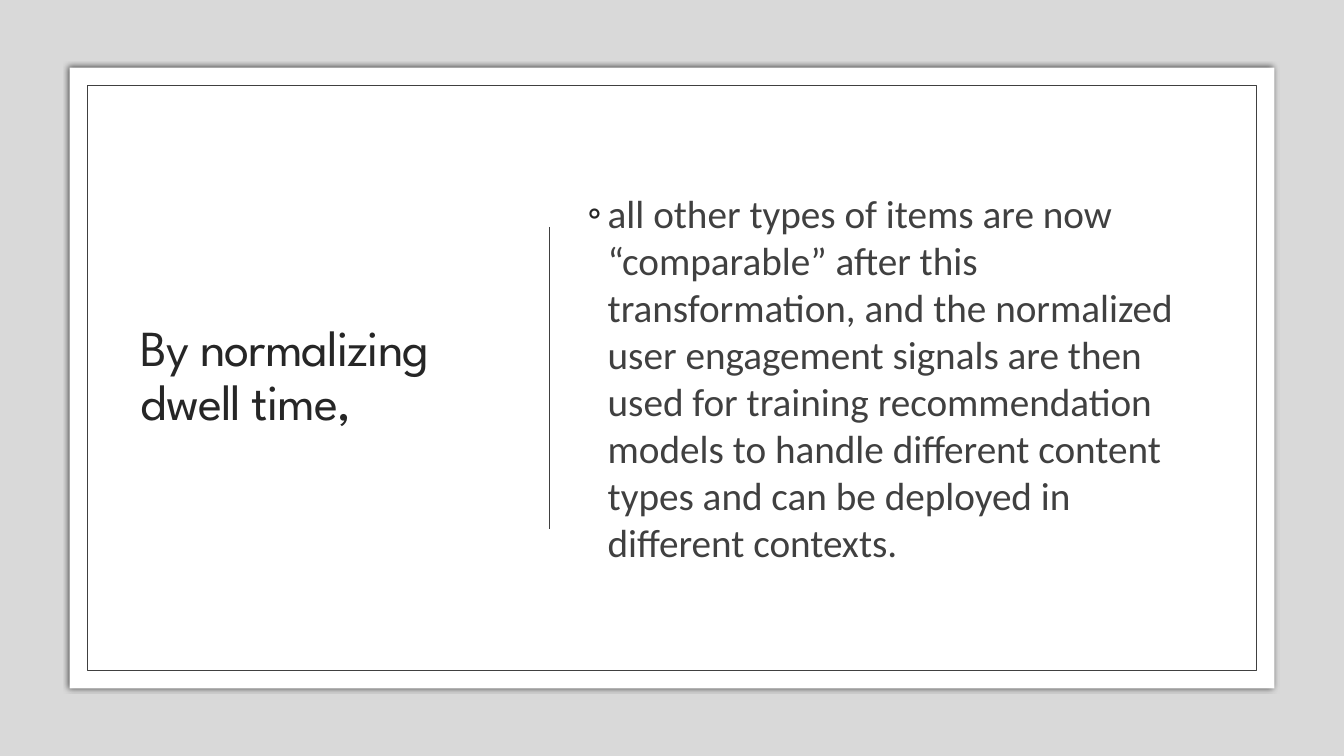
"""Builds a two-column statement slide inside a framed white panel."""

from dataclasses import dataclass
from typing import Optional

from lxml import etree
from pptx import Presentation
from pptx.dml.color import RGBColor
from pptx.enum.shapes import MSO_CONNECTOR, MSO_SHAPE
from pptx.enum.text import MSO_ANCHOR, PP_ALIGN
from pptx.oxml.ns import qn
from pptx.shapes.autoshape import Shape
from pptx.slide import Slide
from pptx.util import Pt

RECTANGLE = MSO_SHAPE.RECTANGLE
STRAIGHT = MSO_CONNECTOR.STRAIGHT
MIDDLE = MSO_ANCHOR.MIDDLE
LEFT = PP_ALIGN.LEFT
SLIDE_WIDTH, SLIDE_HEIGHT = 960, 540


@dataclass(frozen=True)
class Theme:
    """Colours, fonts and type sizes of the slide."""

    backdrop: str = "D9D9D9"
    paper: str = "FFFFFF"
    ink: str = "262626"
    soft_ink: str = "404040"
    shadow: str = "000000"
    title_font: str = "League Spartan"
    body_font: str = "Calibri"
    title_size: float = 36
    body_size: float = 28


THEME = Theme()


@dataclass(frozen=True)
class Panel:
    """A rectangle centred on the slide, set in from its edges."""

    inset_x: float
    inset_y: float
    fill: str
    line: Optional[str] = None
    has_shadow: bool = False


@dataclass(frozen=True)
class TextColumn:
    """A vertically centred block of text."""

    left: float
    width: float
    text: str
    font: str
    size: float
    color: str
    line_spacing: float = 1.0
    space_before: float = 0
    tracking: int = 0
    bullet: str = ""


PANELS = (
    Panel(0, 0, THEME.backdrop),
    Panel(49.7, 48.25, THEME.paper, has_shadow=True),
    Panel(62.7, 61.2, THEME.paper, line=THEME.soft_ink),
)
COLUMNS = (
    TextColumn(93.6, 272.9, "By normalizing dwell time,", THEME.title_font,
               THEME.title_size, THEME.ink, line_spacing=0.9, tracking=-70),
    TextColumn(412.6, 434.2,
               "all other types of items are now “comparable” after this "
               "transformation, and the normalized user engagement signals are "
               "then used for training recommendation models to handle different "
               "content types and can be deployed in different contexts.",
               THEME.body_font, THEME.body_size, THEME.soft_ink,
               space_before=9, bullet="◦"),
)
COLUMN_TOP, COLUMN_HEIGHT = 111.6, 316
BULLET_INDENT = 14.4
DIVIDER_X, DIVIDER_TOP, DIVIDER_BOTTOM = 392.5, 162, 378


def add_soft_shadow(shape: Shape) -> None:
    """Adds a blurred shadow without offset."""
    effects = shape._element.spPr.find(qn("a:effectLst"))
    shadow = etree.SubElement(effects, qn("a:outerShdw"), blurRad=str(Pt(4)),
                              dist="0", algn="ctr", rotWithShape="0")
    color = etree.SubElement(shadow, qn("a:srgbClr"), val=THEME.shadow)
    etree.SubElement(color, qn("a:alpha"), val="66000")


def add_panel(slide: Slide, panel: Panel) -> None:
    """Draws one centred rectangle."""
    shape = slide.shapes.add_shape(
        RECTANGLE, Pt(panel.inset_x), Pt(panel.inset_y),
        Pt(SLIDE_WIDTH - 2 * panel.inset_x), Pt(SLIDE_HEIGHT - 2 * panel.inset_y))
    shape.shadow.inherit = False
    shape.fill.solid()
    shape.fill.fore_color.rgb = RGBColor.from_string(panel.fill)
    if panel.line:
        shape.line.color.rgb = RGBColor.from_string(panel.line)
        shape.line.width = Pt(0.5)
    else:
        shape.line.fill.background()
    if panel.has_shadow:
        add_soft_shadow(shape)


def add_divider(slide: Slide) -> None:
    """Draws the vertical line between the columns."""
    divider = slide.shapes.add_connector(
        STRAIGHT, Pt(DIVIDER_X), Pt(DIVIDER_TOP), Pt(DIVIDER_X), Pt(DIVIDER_BOTTOM))
    divider.line.color.rgb = RGBColor.from_string(THEME.soft_ink)
    divider.line.width = Pt(1.25)
    etree.SubElement(divider._element.spPr, qn("a:effectLst"))


def add_column(slide: Slide, column: TextColumn) -> None:
    """Writes one text column."""
    frame = slide.shapes.add_textbox(
        Pt(column.left), Pt(COLUMN_TOP), Pt(column.width), Pt(COLUMN_HEIGHT)).text_frame
    frame.word_wrap = True
    frame.vertical_anchor = MIDDLE
    frame.text = column.text
    paragraph = frame.paragraphs[0]
    paragraph.alignment = LEFT
    paragraph.line_spacing = column.line_spacing
    paragraph.space_before = Pt(column.space_before)
    run = paragraph.runs[0]
    run.font.name = column.font
    run.font.size = Pt(column.size)
    run.font.color.rgb = RGBColor.from_string(column.color)
    if column.tracking:
        run._r.get_or_add_rPr().set("spc", str(column.tracking))
    if column.bullet:
        properties = paragraph._p.get_or_add_pPr()
        properties.set("marL", str(Pt(BULLET_INDENT)))
        properties.set("indent", str(-Pt(BULLET_INDENT)))
        bullet_color = etree.SubElement(properties, qn("a:buClr"))
        etree.SubElement(bullet_color, qn("a:srgbClr"), val=THEME.ink)
        etree.SubElement(properties, qn("a:buFont"), typeface=column.font)
        etree.SubElement(properties, qn("a:buChar"), char=column.bullet)


def main() -> None:
    """Builds and saves the presentation."""
    presentation = Presentation()
    presentation.slide_width = Pt(SLIDE_WIDTH)
    presentation.slide_height = Pt(SLIDE_HEIGHT)
    slide = presentation.slides.add_slide(presentation.slide_layouts[6])
    for panel in PANELS:
        add_panel(slide, panel)
    add_divider(slide)
    for column in COLUMNS:
        add_column(slide, column)
    presentation.save("out.pptx")


if __name__ == "__main__":
    main()
